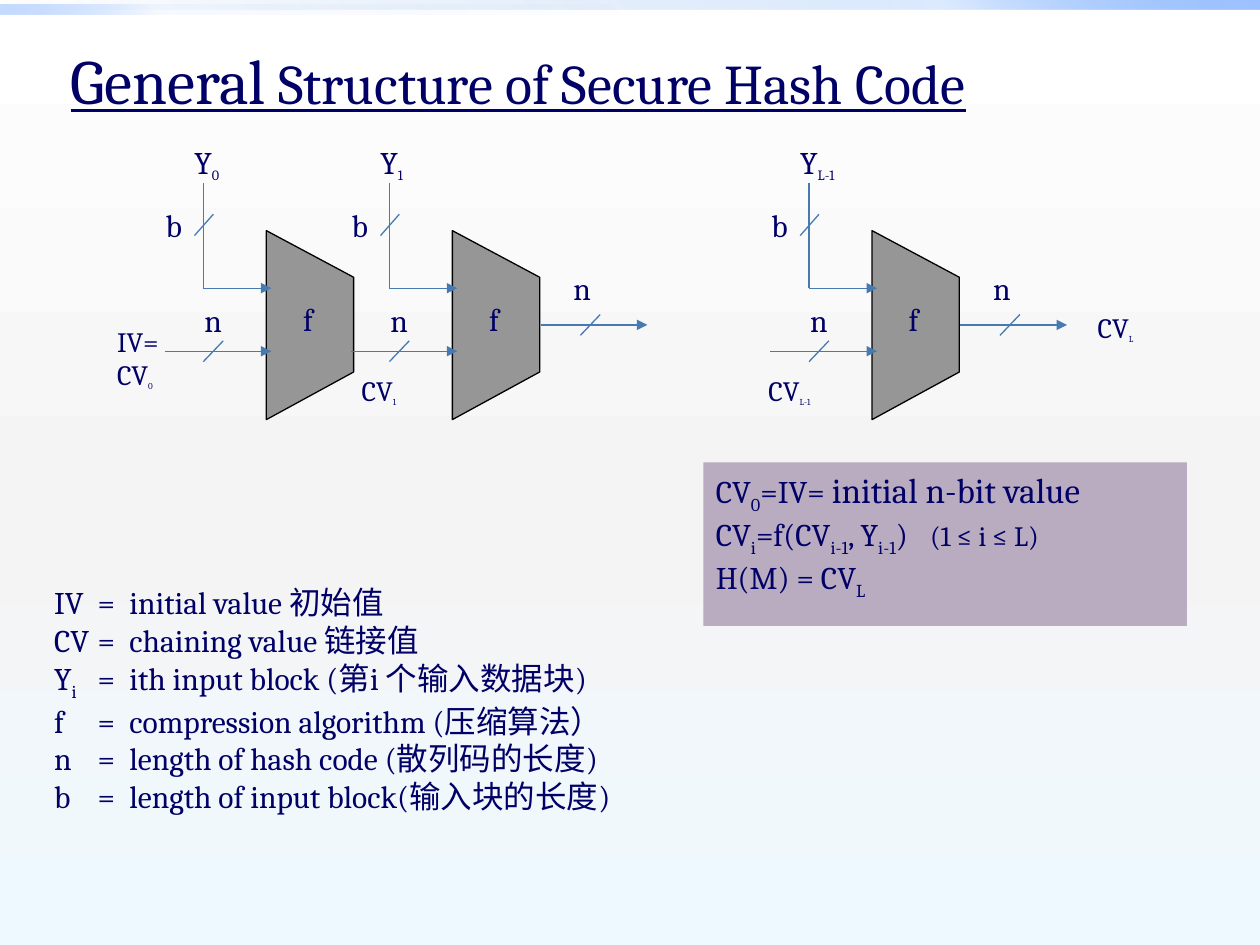
from dataclasses import dataclass

from lxml.etree import SubElement
from pptx import Presentation
from pptx.dml.color import RGBColor
from pptx.enum.shapes import MSO_CONNECTOR, MSO_SHAPE
from pptx.enum.text import MSO_ANCHOR, MSO_AUTO_SIZE as AutoSize, PP_ALIGN
from pptx.oxml.ns import qn
from pptx.util import Cm, Pt


@dataclass(frozen=True)
class Theme:
    font: str = "Cambria"
    ink: str = "000066"
    wire: str = "477AB1"
    block: str = "969696"
    outline: str = "000000"
    panel: str = "B9ABC0"
    title: int = 36
    title_rest: int = 32
    large: int = 20
    body: int = 18
    small: int = 16
    input_index: int = 14
    chain_index: int = 9
    line: float = 0.75


THEME = Theme()
# Gradient stops: position %, colour, opacity %
BACKGROUND = [(0, "FFFFFF", 100), (55, "F4F4F4", 100), (100, "EEF9FF", 100)]
TOP_BAR = [(0, "0058B7", 0), (75, "4F95FF", 20), (100, "9EC2FF", 100)]
LEFT_BAR = [(0, "0058B7", 0), (75, "4F95FF", 5), (100, "9EC2FF", 60)]

# Left edge of each compression block and the index of its input
STAGES = [(5.37, "0"), (9.12, "1"), (17.58, "L-1")]
CHAIN_LABELS = [
    (2.11, 6.41, 1.37, ["IV=", "CV~0~"]),
    (7.04, 7.4, 1.3, ["CV~1~"]),
    (15.24, 7.4, 1.47, ["CV~L-1~"]),
    (21.88, 6.13, 1.3, ["CV~L~"]),
]
LEGEND = [
    "IV\t=\tinitial value 初始值",
    "CV\t=\tchaining value 链接值",
    "Y~i~\t=\tith input block (第i 个输入数据块)",
    "f\t=\tcompression algorithm (压缩算法）",
    "n\t=\tlength of hash code (散列码的长度)",
    "b\t=\tlength of input block(输入块的长度)",
]
FORMULAS = [
    [("CV~0~=IV= ", THEME.body), ("initial n-bit value", THEME.large)],
    [("CV~i~=f(CV~i-1~, Y~i-1~)\t", THEME.body), ("(1 ≤ i ≤ L)", THEME.small)],
    [("H(M) = CV~L~", THEME.body)],
]


def color(value):
    return RGBColor.from_string(value)


def set_gradient(fill, element, stops, angle):
    """Fill with the given stops; the angle runs clockwise."""
    fill.gradient()
    fill.gradient_angle = 360 - angle
    stop_list = element.find(".//" + qn("a:gsLst"))
    for old_stop in list(stop_list):
        stop_list.remove(old_stop)
    for position, value, opacity in stops:
        stop = SubElement(stop_list, qn("a:gs"), pos=str(position * 1000))
        stop_color = SubElement(stop, qn("a:srgbClr"), val=value)
        SubElement(stop_color, qn("a:alpha"), val=str(opacity * 1000))


def write_paragraph(paragraph, parts, index_size=None):
    """Write (text, size) parts; text between ~ marks is subscript."""
    font = paragraph.font
    font.name, font.size = THEME.font, Pt(parts[0][1])
    font.color.rgb = color(THEME.ink)
    paragraph.alignment = PP_ALIGN.LEFT
    paragraph.space_before = Pt(0)
    for text, size in parts:
        for number, piece in enumerate(text.split("~")):
            if not piece:
                continue
            run = paragraph.add_run()
            run.text = piece
            is_index = number % 2 == 1
            run_size = index_size if is_index and index_size else size
            if run_size != parts[0][1]:
                run.font.size = Pt(run_size)
            if is_index:
                run._r.get_or_add_rPr().set("baseline", "-25000")


def write_lines(shape, lines, index_size=None, fit=AutoSize.NONE):
    frame = shape.text_frame
    frame.word_wrap = False
    frame.auto_size = fit
    frame.vertical_anchor = MSO_ANCHOR.TOP
    for number, parts in enumerate(lines):
        paragraph = frame.add_paragraph() if number else frame.paragraphs[0]
        write_paragraph(paragraph, parts, index_size)


def set_tabs(paragraph, *stops):
    properties = paragraph._p.get_or_add_pPr()
    tabs = properties.makeelement(qn("a:tabLst"), {})
    for stop in stops:
        SubElement(tabs, qn("a:tab"), pos=str(Cm(stop)), algn="l")
    properties.find(qn("a:defRPr")).addprevious(tabs)


def add_label(slide, left, top, width, lines, size=THEME.body, index_size=None):
    box = slide.shapes.add_textbox(Cm(left), Cm(top), Cm(width), Cm(1))
    write_lines(box, [[(line, size)] for line in lines], index_size,
                AutoSize.SHAPE_TO_FIT_TEXT)
    return box


def add_rectangle(slide, left, top, width, height):
    shape = slide.shapes.add_shape(MSO_SHAPE.RECTANGLE, Cm(left), Cm(top), Cm(width), Cm(height))
    shape.shadow.inherit = False
    shape.line.fill.background()
    return shape


def add_wire(slide, x1, y1, x2, y2, arrow=False):
    wire = slide.shapes.add_connector(MSO_CONNECTOR.STRAIGHT, Cm(x1), Cm(y1), Cm(x2), Cm(y2))
    wire.line.color.rgb = color(THEME.wire)
    wire.line.width = Pt(THEME.line)
    if arrow:
        SubElement(wire.line._get_or_add_ln(), qn("a:tailEnd"), type="triangle")
    SubElement(wire._element.spPr, qn("a:effectLst"))


def add_bus(slide, x1, x2, y, tick_x, label_x, label_y):
    """Horizontal arrow with a slash and its width n above."""
    add_wire(slide, x1, y, x2, y, arrow=True)
    add_wire(slide, tick_x, y + 0.21, tick_x + 0.4, y - 0.21)
    add_label(slide, label_x, label_y, 1, ["n"])


def add_block(slide, left):
    builder = slide.shapes.build_freeform(Cm(left), Cm(8.46))
    corners = [(1.76, 7.5), (1.76, 5.59), (0, 4.65)]
    builder.add_line_segments([(Cm(left + x), Cm(y)) for x, y in corners])
    block = builder.convert_to_shape()
    block.shadow.inherit = False
    block.fill.solid()
    block.fill.fore_color.rgb = color(THEME.block)
    block.line.color.rgb = color(THEME.outline)
    block.line.width = Pt(THEME.line)


def add_stage(slide, left, index):
    add_block(slide, left)
    add_label(slide, left + 0.49, 5.93, 0.79, ["f"])
    # Message block input
    input_x = left - 1.27
    add_wire(slide, input_x, 3.69, input_x, 5.81)
    add_wire(slide, input_x, 5.81, left + 0.1, 5.81, arrow=True)
    add_wire(slide, input_x + 0.2, 4.32, input_x - 0.18, 4.75)
    add_label(slide, left - 2.28, 4.02, 1, ["b"])
    add_label(slide, left - 1.7, 2.75, 1.35 if len(index) > 1 else 1.07,
              [f"Y~{index}~"], index_size=THEME.input_index)
    # Chaining input
    add_bus(slide, left - 2.05, left + 0.1, 7.08, input_x, left - 1.5, 5.94)


def add_background(slide):
    set_gradient(slide.background.fill, slide.element, BACKGROUND, 90)
    bars = [(0, 25.4, TOP_BAR, 315), (0.1, 12.7, LEFT_BAR, 135)]
    for top, width, stops, angle in bars:
        bar = add_rectangle(slide, 0, top, width, 0.2)
        set_gradient(bar.fill, bar.element, stops, angle)


def add_title(slide):
    title = slide.shapes.title
    title.left, title.top = Cm(1.17), Cm(0.71)
    title.width, title.height = Cm(20.17), Cm(1.78)
    write_lines(title, [[("General", THEME.title),
                         (" Structure of Secure Hash Code", THEME.title_rest)]])
    title.text_frame.paragraphs[0].font.underline = True


def add_legend(slide):
    legend = add_label(slide, 0.84, 11.63, 12.04, LEGEND)
    for paragraph in legend.text_frame.paragraphs:
        set_tabs(paragraph, 0.88, 1.52)


def add_formulas(slide):
    panel = add_rectangle(slide, 14.18, 9.32, 9.75, 3.3)
    panel.fill.solid()
    panel.fill.fore_color.rgb = color(THEME.panel)
    write_lines(panel, FORMULAS)
    set_tabs(panel.text_frame.paragraphs[1], 4.32)


def main():
    presentation = Presentation()
    presentation.slide_width, presentation.slide_height = Cm(25.4), Cm(19.05)
    slide = presentation.slides.add_slide(presentation.slide_layouts[5])
    add_background(slide)
    add_title(slide)
    # Hash chain
    for left, index in STAGES:
        add_stage(slide, left, index)
    for left, _ in STAGES[1:]:
        add_bus(slide, left + 1.78, left + 3.93, 6.55, left + 2.58, left + 2.19, 5.29)
    for left, top, width, lines in CHAIN_LABELS:
        add_label(slide, left, top, width, lines, THEME.small, THEME.chain_index)
    # Explanations
    add_legend(slide)
    add_formulas(slide)
    presentation.save("out.pptx")


if __name__ == "__main__":
    main()
